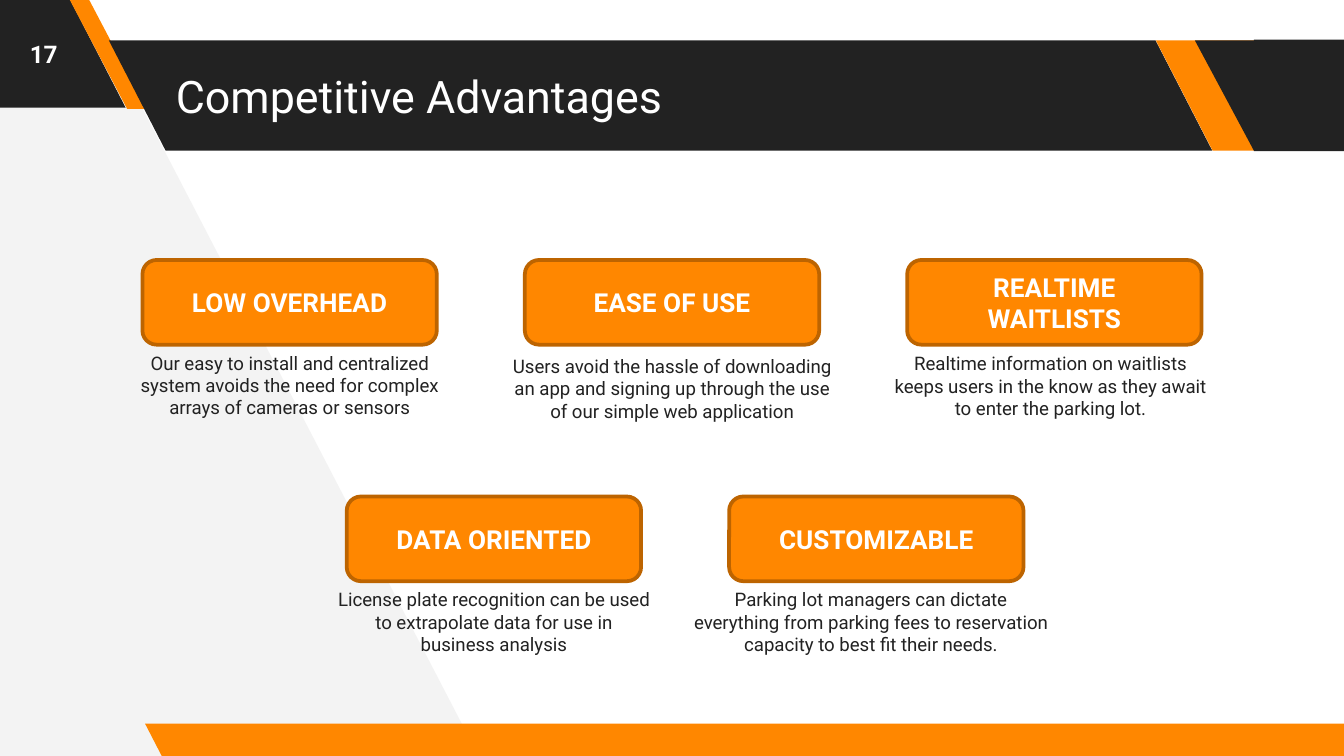
from pptx import Presentation, util as u
from pptx.dml.color import RGBColor
from pptx.enum import shapes as s, text as t

PX = 4572  # 200 px to the inch
SLIDE_W, SLIDE_H = 2000, 1125
COLORS = {"dark": "222222", "orange": "FF8700", "rust": "BD6400",
          "pale": "F3F3F3", "white": "FFFFFF"}

TITLE = "Competitive Advantages"
PAGE = "17"

# Row start, row top, then cards: heading, text, text width, text shift x, text shift y
ROWS = [
    (212, 387, [
        ("LOW OVERHEAD", "Our easy to install and centralized system avoids the need "
         "for complex arrays of cameras or sensors", 506, 0, 0),
        ("EASE OF USE", "Users avoid the hassle of downloading an app and signing up "
         "through the use of our simple web application", 518, 0, 5),
        ("REALTIME WAITLISTS", "Realtime information on waitlists keeps users in the know "
         "as they await to enter the parking lot.", 518, -6, 1),
    ]),
    (516, 739, [
        ("DATA ORIENTED", "License plate recognition can be used to extrapolate data "
         "for use in business analysis", 506, 0, 0),
        ("CUSTOMIZABLE", "Parking lot managers can dictate everything from parking fees "
         "to reservation capacity to best fit their needs.", 574, -8, 0),
    ]),
]
CARD_W, CARD_H, CARD_STEP = 438, 126, 569
TEXT_H = 122

# Slanted bands: left, top, width, height, slant, colour
BANDS = [
    (-198, -4, 385, 164, 0.515, "dark"),
    (103, -2, 115, 164, 0.75, "orange"),
    (162, 60, 1642, 164, 0.515, "dark"),
    (1720, 60, 384, 164, 0.515, "orange"),
    (216, 1077, 1830, 50, 0.515, "orange"),
]
BACKDROP = [(712, 1125), (124, -8), (-12, -8), (-4, 1132)]

HEADING = {"size": u.Pt(14), "bold": True, "color": "white"}
BODY = {"size": u.Pt(10), "color": "dark"}
TITLE_FONT = {"size": u.Pt(24), "color": "white"}
PAGE_FONT = {"size": u.Pt(13), "bold": True, "color": "white"}

prs = Presentation()
prs.slide_width, prs.slide_height = SLIDE_W * PX, SLIDE_H * PX
slide = prs.slides.add_slide(prs.slide_layouts[6])


def rgb(name):
    return RGBColor.from_string(COLORS[name])


def paint(shape, fill, line=None):
    shape.shadow.inherit = False
    shape.fill.solid()
    shape.fill.fore_color.rgb = rgb(fill)
    if line:
        shape.line.color.rgb = rgb(line)
        shape.line.width = u.Pt(2)
    else:
        shape.line.fill.background()


def add_block(kind, box, fill, line=None, adjust=None):
    block = slide.shapes.add_shape(kind, *(v * PX for v in box))
    paint(block, fill, line)
    if adjust is not None:
        block.adjustments[0] = adjust
    return block


def write(shape, words, style, align=t.PP_ALIGN.CENTER, anchor=t.MSO_ANCHOR.MIDDLE):
    frame = shape.text_frame
    frame.word_wrap = True
    frame.vertical_anchor = anchor
    paragraph = frame.paragraphs[0]
    paragraph.text = words
    paragraph.alignment = align
    font = paragraph.runs[0].font
    font.name = "Roboto"
    for key, value in style.items():
        if key == "color":
            font.color.rgb = rgb(value)
        else:
            setattr(font, key, value)


def add_text(box, words, style, inset=None, **layout):
    label = slide.shapes.add_textbox(*(v * PX for v in box))
    if inset is not None:
        for side in ("left", "top", "right", "bottom"):
            setattr(label.text_frame, f"margin_{side}", inset * PX)
    write(label, words, style, **layout)


# Pale backdrop and slanted bands
outline = slide.shapes.build_freeform(*BACKDROP[0], scale=PX)
outline.add_line_segments(BACKDROP[1:], close=True)
paint(outline.convert_to_shape(), "pale")
for *box, slant, color in BANDS:
    band = add_block(s.MSO_SHAPE.PARALLELOGRAM, box, color, adjust=slant)
    band._element.spPr.xfrm.set("flipH", "1")

# Title and page number
add_text((242, 60, 1470, 164), TITLE, TITLE_FONT, inset=20, align=t.PP_ALIGN.LEFT)
add_text((0, 0, 130, 160), PAGE, PAGE_FONT, inset=20)

# Cards, each with its text centred below
for start, top, cards in ROWS:
    for column, (heading, body, width, dx, dy) in enumerate(cards):
        left = start + column * CARD_STEP
        card = add_block(s.MSO_SHAPE.ROUNDED_RECTANGLE, (left, top, CARD_W, CARD_H),
                         "orange", line="rust")
        write(card, heading, HEADING)
        text_left = left + (CARD_W - width) // 2 + dx
        add_text((text_left, top + CARD_H + dy, width, TEXT_H), body, BODY,
                 anchor=t.MSO_ANCHOR.TOP)

# Dark end of the header
corner = add_block(s.MSO_SHAPE.ISOSCELES_TRIANGLE, (1778, 60, 190, 164), "dark", adjust=0.538)
corner.rotation = 180
add_block(s.MSO_SHAPE.RECTANGLE, (1866, 59, 134, 166), "dark")

prs.save("out.pptx")
